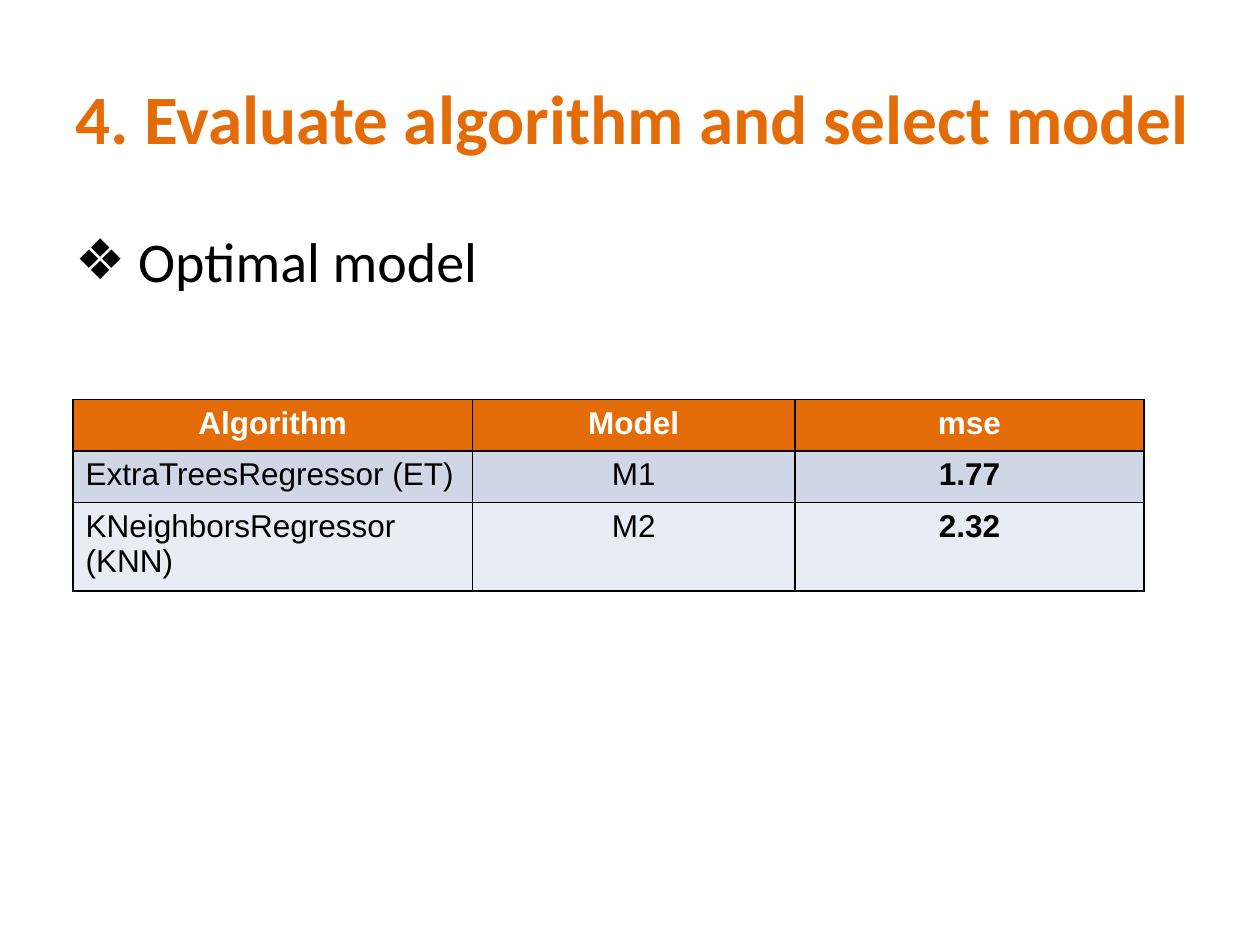
from lxml.etree import SubElement
from pptx import Presentation
from pptx.dml.color import RGBColor
from pptx.enum.text import MSO_ANCHOR, PP_ALIGN
from pptx.oxml.ns import qn
from pptx.util import Inches, Pt

TITLE = "4. Evaluate algorithm and select model"
BULLET = " Optimal model"
ROWS = [
    ("Algorithm", "Model", "mse"),
    ("ExtraTreesRegressor (ET)", "M1", "1.77"),
    ("KNeighborsRegressor (KNN)", "M2", "2.32"),
]
ROW_FILLS = ["E36C09", "CFD7E7", "E8ECF4"]
COL_WIDTHS = [3.17, 2.56, 2.77]
ROW_HEIGHT = 0.41


def rgb(value):
    return RGBColor.from_string(value)


def write(tf, text, color, **font):
    p = tf.paragraphs[0]
    r = p.add_run()
    r.text = text
    r.font.color.rgb = rgb(color)
    for name, value in font.items():
        setattr(r.font, name, value)
    return p


def add_text(s, box, anchor, text, color, **font):
    tf = s.shapes.add_textbox(*map(Inches, box)).text_frame
    tf.word_wrap = True
    tf.vertical_anchor = anchor
    return write(tf, text, color, **font)


def add_bullet(p, char, indent):
    pPr = p._p.get_or_add_pPr()
    pPr.set("marL", str(Inches(indent)))
    pPr.set("indent", str(-Inches(indent)))
    SubElement(pPr, qn("a:buFont"), typeface="Arial")
    SubElement(pPr, qn("a:buChar"), char=char)


def add_borders(cell, color, width):
    tcPr = cell._tc.get_or_add_tcPr()
    for side in ("lnL", "lnR", "lnT", "lnB"):
        ln = SubElement(tcPr, qn(f"a:{side}"), w=str(Pt(width)))
        fill = SubElement(ln, qn("a:solidFill"))
        SubElement(fill, qn("a:srgbClr"), val=color)


def add_results(s, left, top):
    size = (sum(COL_WIDTHS), ROW_HEIGHT * len(ROWS))
    table = s.shapes.add_table(
        len(ROWS), len(COL_WIDTHS), *map(Inches, (left, top, *size))
    ).table
    for col, width in zip(table.columns, COL_WIDTHS):
        col.width = Inches(width)
    for i, (row, fill) in enumerate(zip(ROWS, ROW_FILLS)):
        table.rows[i].height = Inches(ROW_HEIGHT)
        header = i == 0
        for j, text in enumerate(row):
            cell = table.cell(i, j)
            add_borders(cell, "000000", 1)
            cell.fill.solid()
            cell.fill.fore_color.rgb = rgb(fill)
            p = write(cell.text_frame, text, "FFFFFF" if header else "000000",
                      name="Arial", size=Pt(18), bold=header or j == 2)
            p.alignment = PP_ALIGN.CENTER if header or j else PP_ALIGN.LEFT


def main():
    prs = Presentation()
    prs.slide_width, prs.slide_height = Inches(10), Inches(7.5)
    s = prs.slides.add_slide(prs.slide_layouts[6])
    add_text(s, (0.5, 0.3, 9.33, 1.25), MSO_ANCHOR.MIDDLE, TITLE, "E36C09",
             name="Calibri", size=Pt(39.6), bold=True)
    p = add_text(s, (0.5, 1.75, 9, 4.95), MSO_ANCHOR.TOP, BULLET, "000000",
                 name="Calibri", size=Pt(32))
    add_bullet(p, "❖", 0.38)
    add_results(s, 0.58, 3.17)
    prs.save("out.pptx")


if __name__ == "__main__":
    main()
